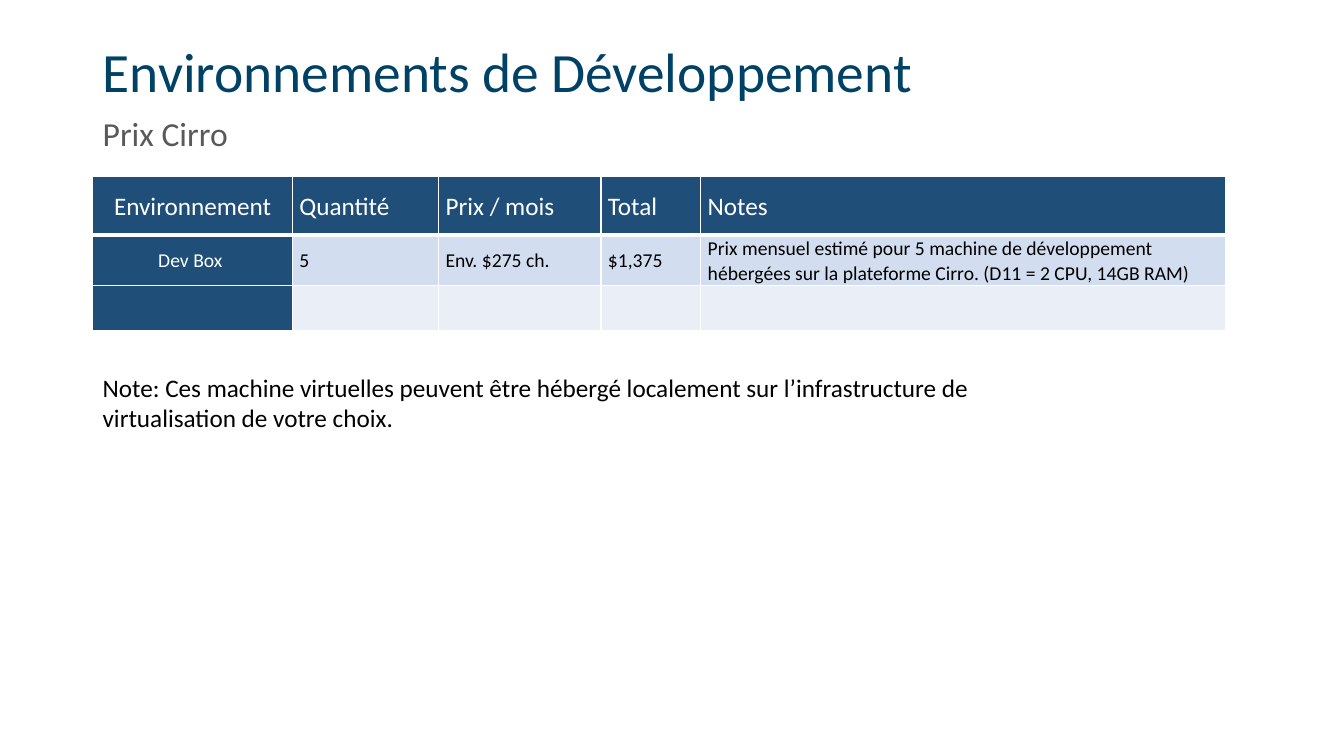
from lxml.etree import SubElement
from pptx import Presentation
from pptx.dml.color import RGBColor
from pptx.enum.text import MSO_ANCHOR as Anchor, MSO_AUTO_SIZE as AutoSize, PP_ALIGN as Align
from pptx.oxml.ns import qn
from pptx.util import Emu, Pt

EMU_PER_PX = 9144  # 100 px to the inch
FONT = "Calibri"
WHITE = RGBColor(0xFF, 0xFF, 0xFF)
BLACK = RGBColor(0x00, 0x00, 0x00)
TITLE_BLUE = RGBColor(0x00, 0x41, 0x66)
GREY = RGBColor(0x59, 0x59, 0x59)
HEADER_BLUE = RGBColor(0x1F, 0x4E, 0x79)
BAND_DARK = RGBColor(0xD2, 0xDE, 0xEF)
BAND_LIGHT = RGBColor(0xEA, 0xEF, 0xF7)

COLUMN_WIDTHS = [198, 145, 161, 99, 521]
ROW_HEIGHTS = [58, 45, 45]
ROW_FILLS = [HEADER_BLUE, BAND_DARK, BAND_LIGHT]
PRICES = [
    ["Environnement", "Quantité", "Prix / mois", "Total", "Notes"],
    ["Dev Box ", "5", "Env. $275 ch.", "$1,375",
     "Prix mensuel estimé pour 5 machine de développement hébergées "
     "sur la plateforme Cirro. (D11 = 2 CPU, 14GB RAM)"],
    [""] * 5,
]


def px(length):
    return Emu(length * EMU_PER_PX)


def set_all(target, values):
    for name, value in values.items():
        setattr(target, name, value)


def write(frame, text, size, color, **paragraph_format):
    paragraph = frame.paragraphs[0]
    set_all(paragraph, {"alignment": Align.LEFT, **paragraph_format})
    run = paragraph.add_run()
    run.text = text
    set_all(run.font, {"name": FONT, "size": Pt(size), "bold": False})
    run.font.color.rgb = color


def place_title(slide, text):
    title = slide.shapes.title
    set_all(title, {"left": px(92), "top": px(40), "width": px(1150), "height": px(67)})
    set_all(title.text_frame, {"auto_size": AutoSize.NONE, "word_wrap": True,
                               "vertical_anchor": Anchor.MIDDLE})
    write(title.text_frame, text, 39.6, TITLE_BLUE, line_spacing=0.9)


def add_text(slide, box, text, size, color, **paragraph_format):
    frame = slide.shapes.add_textbox(*map(px, box)).text_frame
    frame.word_wrap = True
    write(frame, text, size, color, **paragraph_format)


def add_borders(cell, is_header):
    """Draw white cell edges, thicker below the header."""
    properties = cell._tc.get_or_add_tcPr()
    for side in "LRTB":
        width = 3 if is_header and side == "B" else 1
        line = SubElement(properties, qn(f"a:ln{side}"), w=str(Pt(width)))
        fill = SubElement(line, qn("a:solidFill"))
        SubElement(fill, qn("a:srgbClr"), val=str(WHITE))


def format_cell(cell, text, row, column):
    is_header = row == 0
    is_label = column == 0
    add_borders(cell, is_header)
    cell.fill.solid()
    cell.fill.fore_color.rgb = HEADER_BLUE if is_label else ROW_FILLS[row]
    set_all(cell, {"margin_left": px(7), "margin_right": px(7), "margin_top": 0,
                   "margin_bottom": 0, "vertical_anchor": Anchor.MIDDLE})
    if text:
        write(cell.text_frame, text, 18 if is_header else 14,
              WHITE if is_header or is_label else BLACK,
              alignment=Align.CENTER if is_label else Align.LEFT,
              line_spacing=1.07, space_before=Pt(6), space_after=Pt(6))


def add_price_table(slide):
    table = slide.shapes.add_table(
        len(ROW_HEIGHTS), len(COLUMN_WIDTHS), px(92), px(175),
        px(sum(COLUMN_WIDTHS)), px(sum(ROW_HEIGHTS))).table
    for column, width in zip(table.columns, COLUMN_WIDTHS):
        column.width = px(width)
    for row, height in zip(table.rows, ROW_HEIGHTS):
        row.height = px(height)
    for r, texts in enumerate(PRICES):
        for c, text in enumerate(texts):
            format_cell(table.cell(r, c), text, r, c)


def main():
    deck = Presentation()
    set_all(deck, {"slide_width": px(1333), "slide_height": px(750)})
    slide = deck.slides.add_slide(deck.slide_layouts.get_by_name("Title Only"))
    place_title(slide, "Environnements de Développement")
    add_text(slide, (92, 115, 1000, 44), "Prix Cirro", 24, GREY,
             line_spacing=0.8, space_before=Pt(10))
    add_price_table(slide)
    add_text(slide, (92, 364, 890, 71),
             "Note: Ces machine virtuelles peuvent être hébergé localement sur "
             "l’infrastructure de virtualisation de votre choix.", 18, BLACK)
    deck.save("out.pptx")


if __name__ == "__main__":
    main()
